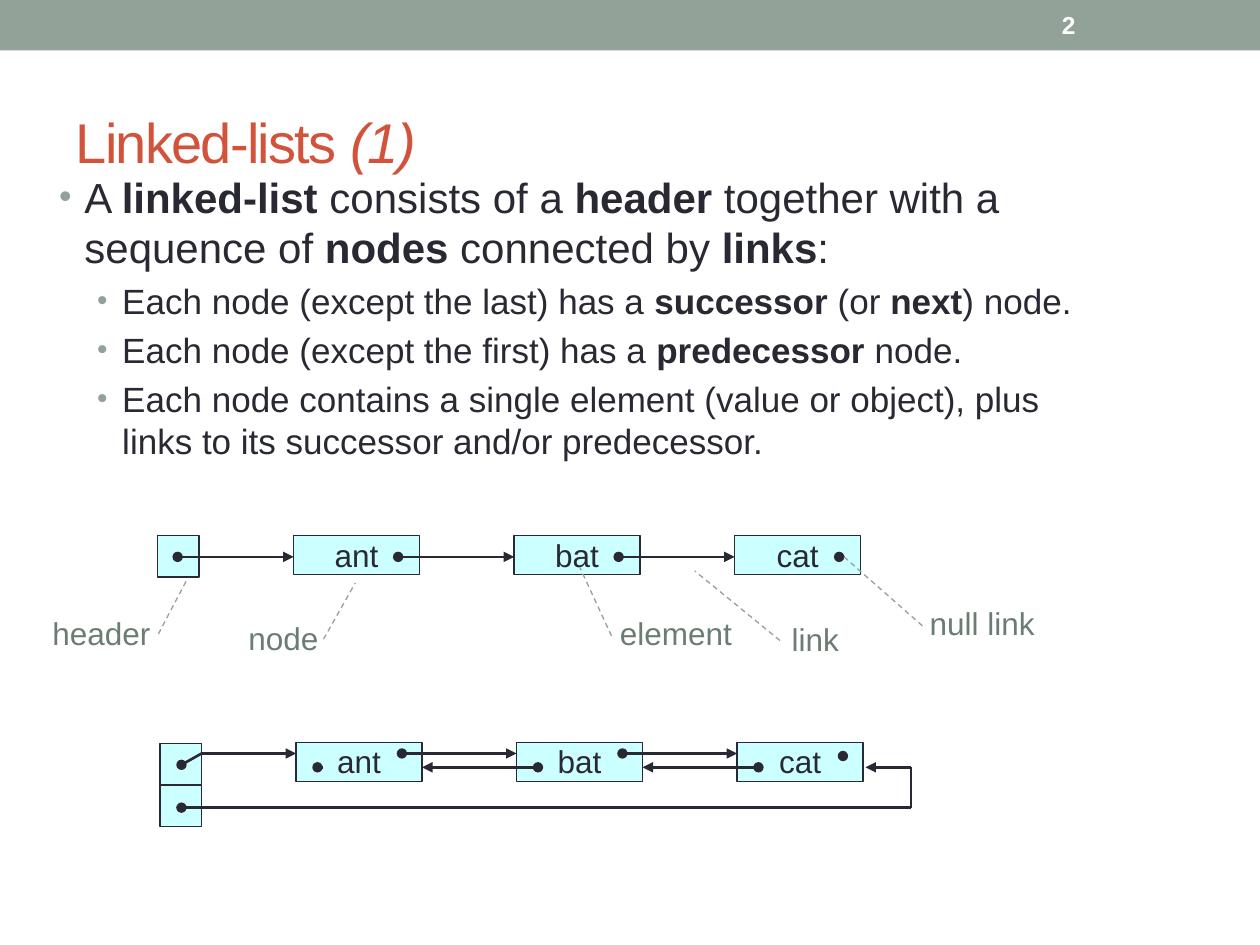
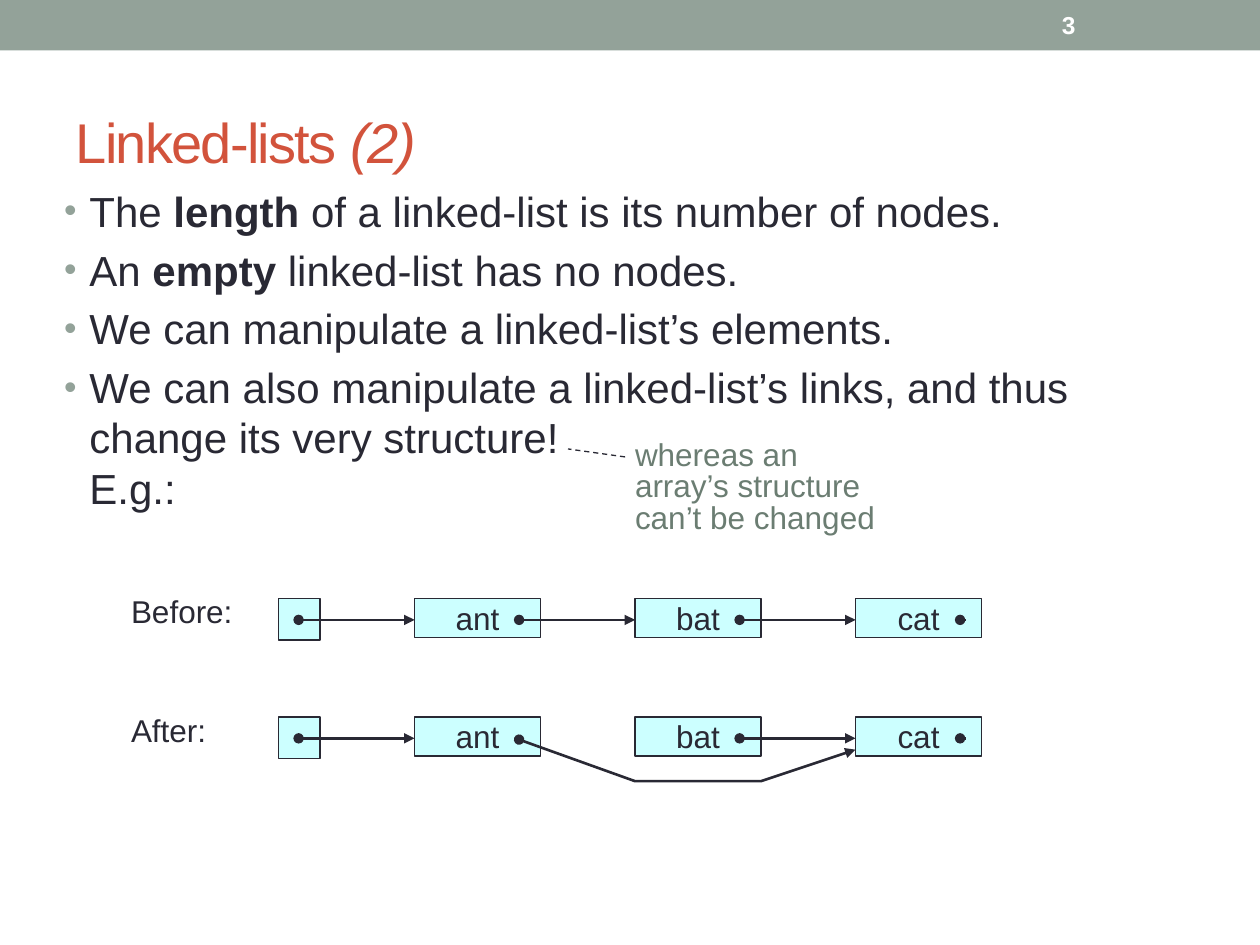
from pptx import Presentation
from pptx.util import Inches, Pt
from pptx.dml.color import RGBColor
from pptx.enum.dml import MSO_LINE
from pptx.enum.shapes import MSO_SHAPE as Kind, MSO_CONNECTOR as Conn
from pptx.enum.text import PP_ALIGN as Align, MSO_ANCHOR as Anchor, MSO_AUTO_SIZE as Auto
from pptx.oxml.ns import qn
from lxml.etree import SubElement

SAGE = RGBColor(0x93, 0xA2, 0x99)
MOSS = RGBColor(0x6B, 0x7D, 0x72)
BRICK = RGBColor(0xD2, 0x53, 0x3C)
INK = RGBColor(0x29, 0x29, 0x34)
CYAN = RGBColor(0xCC, 0xFF, 0xFF)
WHITE = RGBColor(0xFF, 0xFF, 0xFF)
FACE = "Arial"

# Content: body lines are (level, text), with *bold* words
SLIDES = [
    {"title": ("Linked-lists ", "(1)"), "number": "2", "body": (0.37, 1.31), "lines": [
        (0, "A *linked-list* consists of a *header* together with a "
            "sequence of *nodes* connected by *links*:"),
        (1, "Each node (except the last) has a *successor* (or *next*) node."),
        (1, "Each node (except the first) has a *predecessor* node."),
        (1, "Each node contains a single element (value or object), plus "
            "links to its successor and/or predecessor."),
    ]},
    {"title": ("Linked-lists ", "(2)"), "number": "3", "body": (0.41, 1.42), "lines": [
        (0, "The *length* of a linked-list is its number of nodes."),
        (0, "An *empty* linked-list has no nodes."),
        (0, "We can manipulate a linked-list’s elements."),
        (0, "We can also manipulate a linked-list’s links, and thus "
            "change its very structure!\nE.g.:"),
    ]},
]
NAMES = ["ant", "bat", "cat"]
# Callouts: text, box, pointer (y, x, y, x as shares of the box)
NOTES = [
    ("header", (0.37, 4.92, 0.87, 0.31), (0.36, 1.02, -1.03, 1.28)),
    ("null link", (7.33, 4.84, 0.93, 0.27), (0.47, -0.01, -1.56, -0.68)),
    ("link", (6.22, 4.97, 0.5, 0.27), (0.42, -0.06, -1.62, -1.41)),
    ("node", (1.95, 4.96, 0.6, 0.27), (0.42, 1.03, -1.23, 1.45)),
    ("element", (4.9, 4.92, 0.93, 0.27), (0.47, -0.05, -1.54, -0.32)),
]
ASIDE = ("whereas an array’s structure can’t be changed",
         (5.04, 3.5, 1.97, 0.79), (0.16, -0.04, 0.08, -0.27))

# Diagram measures
CELL, WIDE, HIGH = 0.33, 1, 0.31
FIRST, STEP = 1.08, 1.75     # header to first node, node to node
DOT, MID, STUB = 0.83, 0.17, 0.04


def style(para, size, color, bold=None):
    font = para.font
    font.name, font.size, font.bold = FACE, Pt(size), bold
    font.color.rgb = color


def write(shape, text, color, align=Align.LEFT, lead=None):
    frame = shape.text_frame
    frame.word_wrap = True
    frame.vertical_anchor = Anchor.TOP
    frame.margin_left = frame.margin_right = 0
    frame.margin_top = frame.margin_bottom = 0
    para = frame.paragraphs[0]
    para.text, para.alignment = text, align
    if lead:
        para.line_spacing = Pt(lead)
    style(para, 18, color)


def place(shape, *box):
    shape.left, shape.top, shape.width, shape.height = map(Inches, box)


def box(shapes, x, y, w, h, text=None):
    rect = shapes.add_shape(Kind.RECTANGLE, *map(Inches, (x, y, w, h)))
    rect.shadow.inherit = False
    rect.fill.solid()
    rect.fill.fore_color.rgb = CYAN
    rect.line.color.rgb = INK
    rect.line.width = Pt(0.75)
    if text:
        write(rect, text, INK, Align.CENTER)


def stroke(shape, head, tail):
    shape.line.color.rgb = INK
    shape.line.width = Pt(1.5)
    ln = shape.element.spPr.find(qn("a:ln"))
    for tag, kind in (("a:headEnd", head), ("a:tailEnd", tail)):
        if kind:
            SubElement(ln, qn(tag), type=kind)


def link(shapes, x1, y1, x2, y2, head="oval", tail="triangle"):
    line = shapes.add_connector(Conn.STRAIGHT, *map(Inches, (x1, y1, x2, y2)))
    stroke(line, head, tail)
    SubElement(line.element.spPr, qn("a:effectLst"))


def bend(shapes, points):
    pts = [(Inches(x), Inches(y)) for x, y in points]
    pen = shapes.build_freeform(*pts[0])
    pen.add_line_segments(pts[1:], close=False)
    path = pen.convert_to_shape()
    path.shadow.inherit = False
    path.fill.background()
    stroke(path, "oval", "triangle")


def note(shapes, text, area, aim, color=SAGE, align=Align.CENTER):
    call = shapes.add_shape(Kind.LINE_CALLOUT_1_NO_BORDER, *map(Inches, area))
    for i, share in enumerate(aim):
        call.adjustments[i] = share
    call.shadow.inherit = False
    call.fill.background()
    call.line.color.rgb = color
    call.line.width = Pt(0.75)
    call.line.dash_style = MSO_LINE.DASH
    write(call, text, MOSS, align, 18)


def nodes(shapes, x, y):
    """Draw the named boxes and return their left edges."""
    lefts = [x + FIRST + i * STEP for i in range(len(NAMES))]
    for left, name in zip(lefts, NAMES):
        box(shapes, left, y, WIDE, HIGH, name)
    return lefts


def single(slide, x, y, label=None, skip=None):
    """A singly-linked list; the node numbered skip has no straight link."""
    shapes = slide.shapes.add_group_shape().shapes
    box(shapes, x, y, CELL, CELL)
    lefts = nodes(shapes, x, y)
    starts = [x + 0.16] + [left + DOT for left in lefts]
    row = y + MID
    for i, (start, end) in enumerate(zip(starts, lefts)):
        if i != skip:
            link(shapes, start, row, end, row)
    link(shapes, starts[-1], row, starts[-1] + STUB, row, tail=None)
    if label:
        tag = shapes.add_textbox(*map(Inches, (1.04, y, 0.83, 0.25)))
        write(tag, label, INK, lead=18)
    return shapes, lefts


def double(slide, x, y):
    """A doubly-linked list with first and last links in its header."""
    shapes = slide.shapes.add_group_shape().shapes
    for i in range(2):
        box(shapes, x, y + 0.01 + i * CELL, CELL, CELL)
    lefts = nodes(shapes, x, y)
    ahead, back, low = y + 0.09, y + 0.2, y + 0.52
    dot, edge = x + MID, x + 5.96
    for a, b in zip(lefts, lefts[1:]):
        link(shapes, a + 0.84, ahead, b, ahead)
        link(shapes, b + MID, back, a + WIDE, back)
    end = lefts[-1] + 0.84
    link(shapes, end, y + 0.11, end + STUB, y + 0.11, tail=None)
    link(shapes, lefts[0] + MID, back, lefts[0] + MID + STUB, back, tail=None)
    bend(shapes, [(dot, y + 0.18), (x + CELL, ahead), (lefts[0], ahead)])
    link(shapes, dot, low, edge, low, tail=None)
    link(shapes, edge, low, edge, back, head=None, tail=None)
    link(shapes, edge, back, lefts[-1] + 1.02, back, head=None)


def item(para, level, text):
    """One bulleted body line."""
    size = 20 if level else 24
    para.level = level
    para.alignment = Align.LEFT
    para.space_before = Pt(size * 0.2)
    style(para, size, INK)
    props = para._p.get_or_add_pPr()
    props.set("marL", str(Inches(0.5 if level else 0.2)))
    props.set("indent", str(Inches(-0.2)))
    bullet = [("a:buClr", {}), ("a:buSzPct", {"val": "85000"}),
              ("a:buFont", {"typeface": FACE}), ("a:buChar", {"char": "•"})]
    rest = props.find(qn("a:defRPr"))
    for tag, attrs in bullet:
        mark = SubElement(props, qn(tag), attrs)
        rest.addprevious(mark)
        if tag == "a:buClr":
            SubElement(mark, qn("a:srgbClr"), val=str(SAGE))
    for i, part in enumerate(text.split("*")):
        for n, piece in enumerate(part.split("\n")):
            if n:
                para.add_line_break()
            run = para.add_run()
            run.text = piece
            if i % 2:
                run.font.bold = True


def start(data):
    """Add a slide with its title, body and number."""
    slide = deck.slides.add_slide(layout)
    title, body = slide.placeholders
    place(title, 0.5, 0.58, 9, 1.08)
    title.text_frame.vertical_anchor = Anchor.MIDDLE
    para = title.text_frame.paragraphs[0]
    para.alignment = Align.LEFT
    style(para, 32, BRICK)
    for text, slant in zip(data["title"], (None, True)):
        run = para.add_run()
        run.text, run.font.italic = text, slant
        run._r.get_or_add_rPr().set("spc", "-100")

    place(body, *data["body"], 8.33, 5.25)
    frame = body.text_frame
    frame.auto_size = Auto.NONE
    for i, line in enumerate(data["lines"]):
        item(frame.add_paragraph() if i else frame.paragraphs[0], *line)

    num = slide.shapes.add_textbox(*map(Inches, (8.33, 0.02, 1.17, 0.36)))
    num.text_frame.word_wrap = True
    num.text_frame.vertical_anchor = Anchor.MIDDLE
    para = num.text_frame.paragraphs[0]
    para.text = data["number"]
    style(para, 14, WHITE, True)
    return slide


deck = Presentation()
deck.slide_width, deck.slide_height = Inches(10), Inches(7.5)
layout = deck.slide_layouts[1]
one, two = [start(data) for data in SLIDES]

# Shared band, moved to the back of the layout
band = one.shapes.add_shape(Kind.RECTANGLE, 0, 0, deck.slide_width, Inches(0.4))
band.shadow.inherit = False
band.fill.solid()
band.fill.fore_color.rgb = SAGE
band.line.fill.background()
layout.shapes.element.insert(2, band.element)

# First slide: both kinds of list
single(one, 1.25, 4.25)
for entry in NOTES:
    note(one.shapes, *entry)
double(one, 1.27, 5.89)

# Second slide: a list before and after unlinking a node
single(two, 2.21, 4.75, "Before:")
top = 5.69
shapes, (ant, bat, cat) = single(two, 2.21, top, "After:", skip=1)
bend(shapes, [(ant + DOT, top + 0.18), (bat, top + 0.51),
              (bat + WIDE, top + 0.51), (cat, top + 0.26)])
note(two.shapes, *ASIDE, color=INK, align=Align.LEFT)

deck.save("out.pptx")
